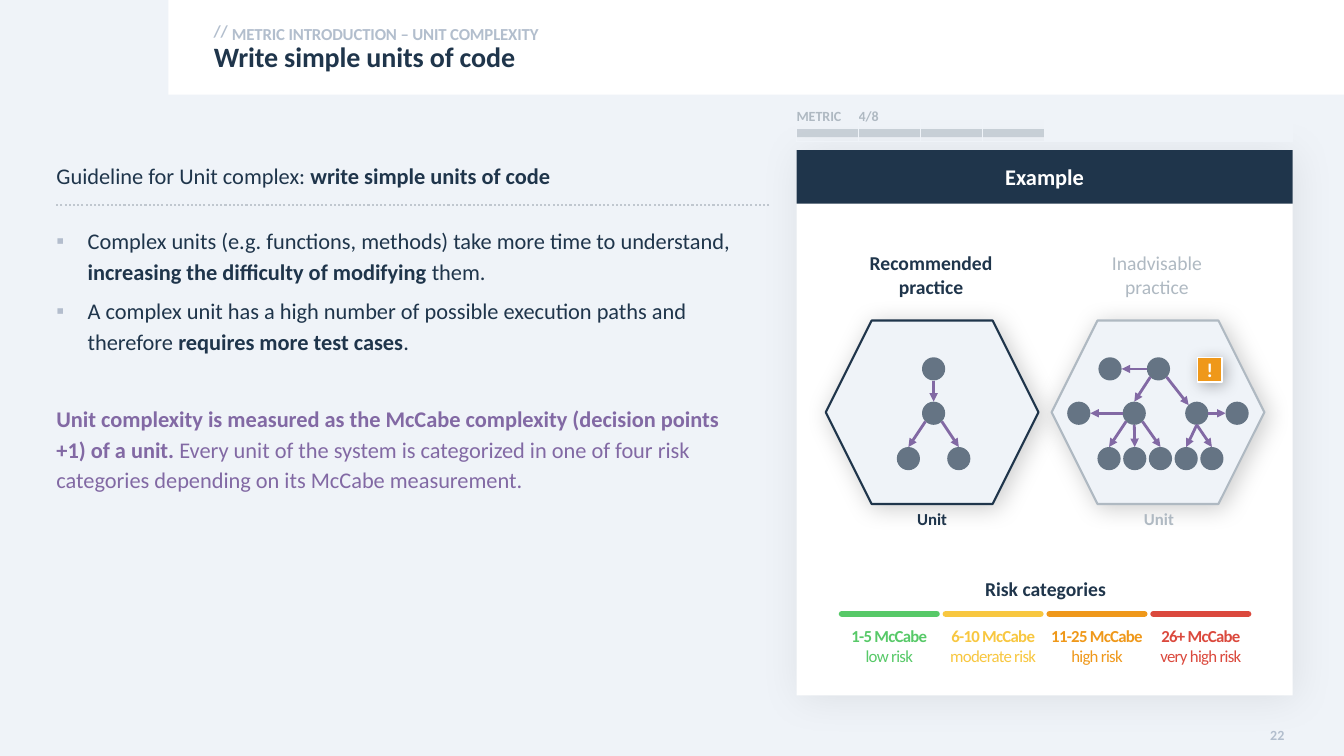
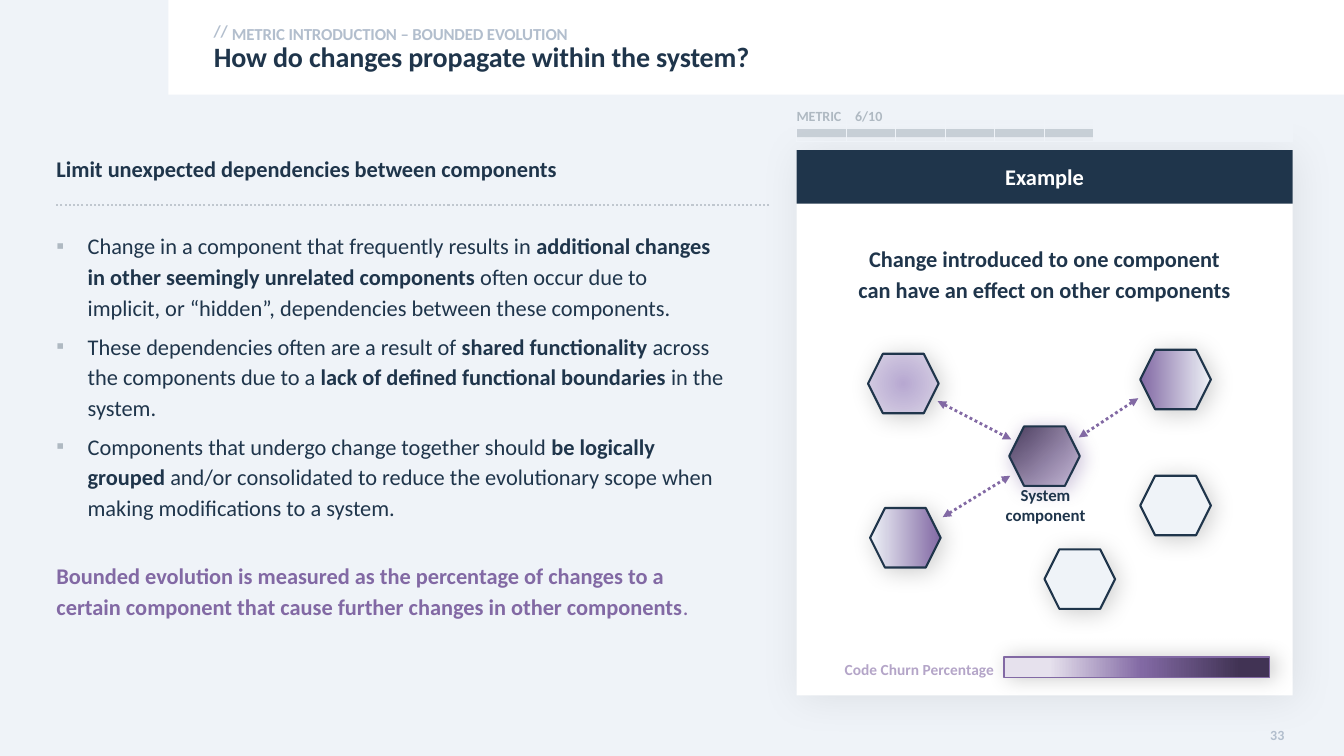
from lxml.etree import SubElement
from pptx import Presentation
from pptx.dml.color import RGBColor
from pptx.enum.dml import MSO_LINE
from pptx.enum.shapes import MSO_CONNECTOR, MSO_SHAPE
from pptx.enum.text import MSO_ANCHOR, MSO_AUTO_SIZE, PP_ALIGN
from pptx.oxml.ns import qn
from pptx.util import Inches, Pt

FONT = "Calibri"
COLOURS = {
    "navy": "1F354B", "pale": "EFF3F8", "white": "FFFFFF", "black": "000000",
    "mist": "B2BECD", "bullet": "B3BDCD", "grey": "AFB9C2", "rule": "C0C7CF",
    "slate": "657484", "purple": "8269A4", "lilac": "B4A5C8", "plum": "413354",
    "green": "57C968", "yellow": "F8C740", "orange": "EF981A", "red": "DB493D",
    "orchid": "B7A8D1", "haze": "D2CAE1", "frost": "E9E5F0", "veil": "E6E1ED",
    "heather": "AA98C3",
}
CENTRE, RIGHT = PP_ALIGN.CENTER, PP_ALIGN.RIGHT
MIDDLE = MSO_ANCHOR.MIDDLE
CARD_LEFT, CARD_TOP, CARD_WIDTH, CARD_HEIGHT = 7.9, 1.49, 4.92, 5.41

# Shadows: colour, opacity %, blur, distance, angle
CARD_SHADOW = ("black", 7, 30, 3, 45)
UNIT_SHADOW = ("black", 20, 17, 3, 45)

# Paragraphs: kind, text with **bold** parts, space after
SLIDES = [
    {"kicker": "METRIC INTRODUCTION – UNIT COMPLEXITY",
     "title": "Write simple units of code",
     "page": "22", "step": 4, "steps": 8, "rows": 1, "counter_indent": 0,
     "list_box": (0.56, 1.52, 6.72, 5.38), "bullet": "bullet",
     "list": [
         ("plain", "Guideline for Unit complex: **write simple units of code**", 25),
         ("bullet", "Complex units (e.g. functions, methods) take more time to understand, "
          "**increasing the difficulty of modifying** them.", 6),
         ("bullet", "A complex unit has a high number of possible execution paths and "
          "therefore **requires more test cases**.", 33.5),
         ("accent", "**Unit complexity is measured as the McCabe complexity (decision points "
          "+1) of a unit. **Every unit of the system is categorized in one of four risk "
          "categories depending on its McCabe measurement.", 0)]},
    {"kicker": "METRIC INTRODUCTION – BOUNDED EVOLUTION",
     "title": "How do changes propagate within the system?",
     "page": "33", "step": 6, "steps": 10, "rows": 2, "counter_indent": 0.09,
     "list_box": (0.56, 1.45, 6.62, 5.41), "bullet": "grey",
     "list": [
         ("plain", "**Limit unexpected dependencies between components**", 33.5),
         ("bullet", "Change in a component that frequently results in **additional changes "
          "in other seemingly unrelated components** often occur due to implicit, or "
          "“hidden”, dependencies between these components.", 6),
         ("bullet", "These dependencies often are a result of **shared functionality **across "
          "the components due to a **lack of defined functional boundaries **in the system.", 6),
         ("bullet", "Components that undergo change together should **be logically grouped "
          "**and/or consolidated to reduce the evolutionary scope when making modifications "
          "to a system.", 27),
         ("accent", "**Bounded evolution is measured as the percentage of changes to a certain "
          "component that cause further changes in other components**.", 0)]},
]

PRACTICES = [  # label lines, colour, bold, left edges of hexagon, label and caption
    (["Recommended", "practice"], "navy", True, 8.19, 8.26, 8.71),
    (["Inadvisable", "practice"], "grey", False, 10.43, 10.5, 10.96),
]
RISKS = [
    ("1-5 McCabe", "low risk", "green"),
    ("6-10 McCabe", "moderate risk", "yellow"),
    ("11-25 McCabe", "high risk", "orange"),
    ("26+ McCabe", "very high risk", "red"),
]
NODE_SIZE = 0.23
ROW_CENTRES = (3.66, 4.1, 4.55)
NODES = {  # centre x, row
    "simple top": (9.26, 0), "simple middle": (9.26, 1),
    "simple left": (9.01, 2), "simple right": (9.51, 2),
    "entry": (11.49, 0), "exit": (11.01, 0), "hub": (11.25, 1), "branch": (11.87, 1),
    "far left": (10.7, 1), "far right": (12.27, 1),
    **{f"leaf {i}": (11 + 0.255 * i, 2) for i in range(5)},
}
SITES = {"top": (0, -1), "bottom": (0, 1), "left": (-1, 0), "right": (1, 0),
         "bottom left": (-0.7, 0.7), "bottom right": (0.7, 0.7), "top left": (-0.7, -0.7)}
EDGES = [
    ("simple top", "bottom", "simple middle", "top"),
    ("simple middle", "bottom left", "simple left", "top"),
    ("simple middle", "bottom right", "simple right", "top"),
    ("entry", "left", "exit", "right"), ("entry", "bottom left", "hub", "top"),
    ("entry", "bottom right", "branch", "top left"),
    ("hub", "left", "far left", "right"), ("hub", "bottom left", "leaf 0", "top"),
    ("hub", "bottom", "leaf 1", "top"), ("hub", "bottom right", "leaf 2", "top"),
    ("branch", "bottom", "leaf 3", "top"), ("branch", "bottom", "leaf 4", "top"),
    ("branch", "right", "far right", "left"),
]

# Gradients: stops (position %, colour, opacity %) and an angle, None for radial
FADE = [(0, "pale", 100), (100, "purple", 100)]
COMPONENTS = [  # left, top, fill, shadow
    (11.31, 3.47, (FADE, 180), UNIT_SHADOW),
    (8.61, 3.51, ([(0, "orchid", 100), (79, "haze", 100), (100, "frost", 100)], None), UNIT_SHADOW),
    (10.01, 4.23, ([(0, "plum", 100), (100, "heather", 50)], 45), ("purple", 55, 13, 3, 45)),
    (8.63, 5.04, (FADE, 0), UNIT_SHADOW),
    (11.31, 4.72, "pale", UNIT_SHADOW),
    (10.36, 5.45, "pale", UNIT_SHADOW),
]
DEPENDENCIES = [((9.35, 5.13), (10.02, 4.72)), ((9.3, 3.98), (10.03, 4.36)),
                ((11.29, 3.95), (10.7, 4.34))]
CHURN_SCALE = ([(11, "plum", 100), (48, "purple", 100), (83, "veil", 100)], 180)


def rgb(name):
    return RGBColor.from_string(COLOURS[name])


def inches(*lengths):
    return [Inches(length) for length in lengths]


def set_all(target, values):
    for name, value in values.items():
        setattr(target, name, value)


def add_colour(parent, name, opacity=100):
    colour = SubElement(parent, qn("a:srgbClr"), val=COLOURS[name])
    if opacity < 100:
        SubElement(colour, qn("a:alpha"), val=str(opacity * 1000))


def add_gradient(shape, stops, angle):
    gradient = SubElement(shape.element.spPr, qn("a:gradFill"), rotWithShape="1")
    stop_list = SubElement(gradient, qn("a:gsLst"))
    for position, name, opacity in stops:
        add_colour(SubElement(stop_list, qn("a:gs"), pos=str(position * 1000)), name, opacity)
    if angle is None:
        radial = SubElement(gradient, qn("a:path"), {"path": "circle"})
        SubElement(radial, qn("a:fillToRect"), {side: "50000" for side in "ltrb"})
    else:
        SubElement(gradient, qn("a:lin"), ang=str(angle * 60000), scaled="0")


def add_shape(slide, kind, box, fill, line=None, line_width=1.5, shadow=None):
    """Fill is a colour name or a gradient of stops and angle."""
    shape = slide.shapes.add_shape(kind, *inches(*box))
    if isinstance(fill, str):
        shape.fill.solid()
        shape.fill.fore_color.rgb = rgb(fill)
    else:
        add_gradient(shape, *fill)
    if line:
        shape.line.color.rgb = rgb(line)
        shape.line.width = Pt(line_width)
    else:
        shape.line.fill.background()
    shape.shadow.inherit = False
    if shadow:
        name, opacity, blur, distance, angle = shadow
        effects = shape.element.spPr.find(qn("a:effectLst"))
        outer = SubElement(effects, qn("a:outerShdw"), blurRad=str(Pt(blur)),
                           dist=str(Pt(distance)), dir=str(angle * 60000), rotWithShape="0")
        add_colour(outer, name, opacity)
    return shape


def add_line(slide, start, end, colour, width, dash=None, arrows=(), cap="flat"):
    line = slide.shapes.add_connector(MSO_CONNECTOR.STRAIGHT, *inches(*start, *end))
    line.line.color.rgb = rgb(colour)
    line.line.width = Pt(width)
    if dash:
        line.line.dash_style = dash
    outline = line.element.spPr.find(qn("a:ln"))
    outline.set("cap", cap)
    for arrow in arrows:
        SubElement(outline, qn(f"a:{arrow}"), type="triangle")
    SubElement(line.element.spPr, qn("a:effectLst"))


def write_paragraph(paragraph, text, size, colour, bold=False, spacing=0, after=0,
                    line_spacing=1.0, align=PP_ALIGN.LEFT):
    """Parts between ** marks are bold; spacing is between letters, in points."""
    set_all(paragraph, {"alignment": align, "line_spacing": line_spacing,
                        "space_before": Pt(0), "space_after": Pt(after)})
    for index, part in enumerate(text.split("**")):
        if part:
            run = paragraph.add_run()
            run.text = part
            set_all(run.font, {"name": FONT, "size": Pt(size), "bold": bold or index % 2 == 1})
            run.font.color.rgb = rgb(colour)
            if spacing:
                run._r.get_or_add_rPr().set("spc", str(int(spacing * 100)))


def prepare_frame(shape, anchor=MSO_ANCHOR.TOP, margins=(0, 0, 0, 0)):
    sides = ("margin_left", "margin_top", "margin_right", "margin_bottom")
    set_all(shape.text_frame, {"word_wrap": True, "auto_size": MSO_AUTO_SIZE.NONE,
                               "vertical_anchor": anchor, **dict(zip(sides, inches(*margins)))})
    return shape.text_frame


def paragraphs_for(frame, count):
    return [frame.paragraphs[0] if i == 0 else frame.add_paragraph() for i in range(count)]


def write(shape, lines, size, colour, anchor=MSO_ANCHOR.TOP, margins=(0, 0, 0, 0), **style):
    frame = prepare_frame(shape, anchor, margins)
    for paragraph, text in zip(paragraphs_for(frame, len(lines)), lines):
        write_paragraph(paragraph, text, size, colour, **style)


def add_text(slide, box, lines, size, colour, **style):
    shape = slide.shapes.add_textbox(*inches(*box))
    write(shape, lines, size, colour, **style)
    return shape


def place(shape, box):
    set_all(shape, dict(zip(("left", "top", "width", "height"), inches(*box))))
    return shape


def dress_layout(layout, slide):
    """Build the shared header on a slide and move it to the layout."""
    layout.background.fill.solid()
    layout.background.fill.fore_color.rgb = rgb("pale")
    header = add_shape(slide, MSO_SHAPE.RECTANGLE, (1.67, 0, 11.66, 0.94), "white")
    slashes = add_text(slide, (2.12, 0.16, 0.3, 0.3), ["//"], 12, "mist", anchor=MIDDLE,
                       bold=True, spacing=-0.1)
    for index, shape in enumerate((header, slashes)):
        shape.element.xpath(".//p:cNvPr")[0].set("id", str(101 + index))
        layout.shapes.element.insert(2 + index, shape.element)


def write_list(shape, items, bullet_colour):
    frame = prepare_frame(shape, margins=(0, 0.05, 0, 0.05))
    for paragraph, (kind, text, after) in zip(paragraphs_for(frame, len(items)), items):
        properties = paragraph._p.get_or_add_pPr()
        indent = Inches(0.31) if kind == "bullet" else 0
        properties.set("marL", str(indent))
        properties.set("indent", str(-indent))
        if indent:
            add_colour(SubElement(properties, qn("a:buClr")), bullet_colour)
            SubElement(properties, qn("a:buChar"), char="▪")
        else:
            SubElement(properties, qn("a:buNone"))
        write_paragraph(paragraph, text, 16, "purple" if kind == "accent" else "navy",
                        after=after, line_spacing=1.14)


def add_progress(slide, step, steps, rows, counter_indent):
    """Progress bar seen through a table whose later cells cover it."""
    bar = add_shape(slide, MSO_SHAPE.RECTANGLE, (CARD_LEFT, 1.28, CARD_WIDTH, 0.08), "grey")
    SubElement(bar.element.spPr.find(qn("a:solidFill"))[0], qn("a:alpha"), val="60000")
    table = slide.shapes.add_table(rows, steps,
                                   *inches(CARD_LEFT, 1.07, CARD_WIDTH, 0.33)).table
    set_all(table, {"first_row": False, "horz_banding": False})
    labels = {(0, 0): "METRIC", (0, 1): f"{step}/{steps}"}
    for row in range(rows):
        for column in range(steps):
            cell = table.cell(row, column)
            set_all(cell, dict.fromkeys(
                ("margin_left", "margin_top", "margin_right", "margin_bottom"), 0))
            properties = cell._tc.get_or_add_tcPr()
            for side in "LRTB":
                border = SubElement(properties, qn(f"a:ln{side}"), w=str(Pt(1)))
                add_colour(SubElement(border, qn("a:solidFill")), "pale")
            if column < step:
                cell.fill.background()
            else:
                cell.fill.solid()
                cell.fill.fore_color.rgb = rgb("pale")
            paragraph = cell.text_frame.paragraphs[0]
            if (row, column) in labels:
                write_paragraph(paragraph, labels[row, column], 10, "grey", bold=True)
            else:
                SubElement(paragraph._p, qn("a:endParaRPr"), sz="600")
    counter = table.cell(0, 1)
    counter.margin_left = Inches(counter_indent)
    if rows > 1:
        counter.merge(table.cell(0, 2))


def add_common(slide, content):
    title, body, kicker = [slide.placeholders[index] for index in (0, 1, 2)]
    write(place(title, (2.12, 0.43, 10.73, 0.31)), [content["title"]], 20, "navy",
          bold=True, spacing=-0.1, line_spacing=0.9)
    write(place(kicker, (2.3, 0.19, 10.54, 0.24)), [content["kicker"]], 12, "mist",
          margins=(0, 0.02, 0.1, 0), bold=True, spacing=-0.1, line_spacing=1.14)
    write_list(place(body, content["list_box"]), content["list"], content["bullet"])
    add_line(slide, (7.63, 2.03), (0.56, 2.03), "rule", 1.5, MSO_LINE.ROUND_DOT)
    add_shape(slide, MSO_SHAPE.RECTANGLE, (CARD_LEFT, CARD_TOP, CARD_WIDTH, CARD_HEIGHT),
              "white", shadow=CARD_SHADOW)
    band = add_shape(slide, MSO_SHAPE.RECTANGLE, (CARD_LEFT, CARD_TOP, CARD_WIDTH, 0.53), "navy")
    write(band, ["Example"], 16, "white", anchor=MIDDLE, bold=True, align=CENTRE)
    add_progress(slide, *[content[key] for key in ("step", "steps", "rows", "counter_indent")])
    add_text(slide, (12.14, 7.16, 0.6, 0.26), [content["page"]], 10, "mist", anchor=MIDDLE,
             bold=True, spacing=0.1, align=RIGHT)


def add_unit_graphs(slide):
    for label, colour, bold, left, label_left, caption_left in PRACTICES:
        add_shape(slide, MSO_SHAPE.HEXAGON, (left, 3.18, 2.11, 1.82), "pale", colour,
                  shadow=UNIT_SHADOW)
        add_text(slide, (label_left, 2.49, 1.95, 0.5), label, 14, colour, bold=bold, align=CENTRE)
        add_text(slide, (caption_left, 5.05, 1.07, 0.29), ["Unit"], 12, colour, bold=True,
                 align=CENTRE)
    radius = NODE_SIZE / 2
    for x, row in NODES.values():
        add_shape(slide, MSO_SHAPE.OVAL,
                  (x - radius, ROW_CENTRES[row] - radius, NODE_SIZE, NODE_SIZE), "slate")
    for source, source_site, target, target_site in EDGES:
        start, end = [
            (NODES[node][0] + radius * SITES[site][0],
             ROW_CENTRES[NODES[node][1]] + radius * SITES[site][1])
            for node, site in ((source, source_site), (target, target_site))]
        add_line(slide, start, end, "purple", 2, arrows=["tailEnd"])
    warning = add_shape(slide, MSO_SHAPE.RECTANGLE, (11.88, 3.55, 0.24, 0.24), "orange",
                        "white", 1, ("black", 30, 11, 3, 45))
    write(warning, ["!"], 14, "white", anchor=MIDDLE, bold=True, align=CENTRE)


def add_risk_scale(slide):
    left, width, pitch = 8.35, 0.94, 1.03
    add_text(slide, (left, 5.72, 4.04, 0.29), ["Risk categories"], 14, "navy", bold=True,
             align=CENTRE)
    for index, (measure, risk, colour) in enumerate(RISKS):
        x = left + index * pitch
        add_line(slide, (x, 6.09), (x + width, 6.09), colour, 4.5, cap="rnd")
        add_text(slide, (x - 0.04, 6.16, width + 0.08, 0.49), [f"**{measure}**", risk], 12,
                 colour, anchor=MIDDLE, spacing=-0.5, align=CENTRE)


def add_component_map(slide):
    for left, top, fill, shadow in COMPONENTS:
        add_shape(slide, MSO_SHAPE.HEXAGON, (left, top, 0.7, 0.59), fill, "navy", shadow=shadow)
    for start, end in DEPENDENCIES:
        add_line(slide, start, end, "purple", 2, MSO_LINE.ROUND_DOT, ["headEnd", "tailEnd"])
    add_text(slide, (8.37, 2.4, 3.98, 0.64),
             ["Change introduced to one component", "can have an effect on other components"],
             16, "navy", bold=True, line_spacing=1.13, align=CENTRE)
    add_text(slide, (9.89, 4.76, 0.96, 0.5), ["System component"], 12, "navy", anchor=MIDDLE,
             bold=True, align=CENTRE)
    add_shape(slide, MSO_SHAPE.RECTANGLE, (9.96, 6.52, 2.63, 0.2), CHURN_SCALE, "purple", 1,
              ("black", 22, 15, 3, 0))
    add_text(slide, (8, 6.52, 1.86, 0.25), ["Code Churn Percentage"], 11, "lilac", bold=True,
             line_spacing=1.13, align=RIGHT)


def main():
    presentation = Presentation()
    set_all(presentation, {"slide_width": Inches(13.33), "slide_height": Inches(7.5)})
    layout = presentation.slide_layouts.get_by_name("Content with Caption")
    complexity, evolution = [presentation.slides.add_slide(layout) for _ in SLIDES]
    dress_layout(layout, complexity)
    for slide, content in zip((complexity, evolution), SLIDES):
        add_common(slide, content)
    add_unit_graphs(complexity)
    add_risk_scale(complexity)
    add_component_map(evolution)
    presentation.save("out.pptx")


if __name__ == "__main__":
    main()
